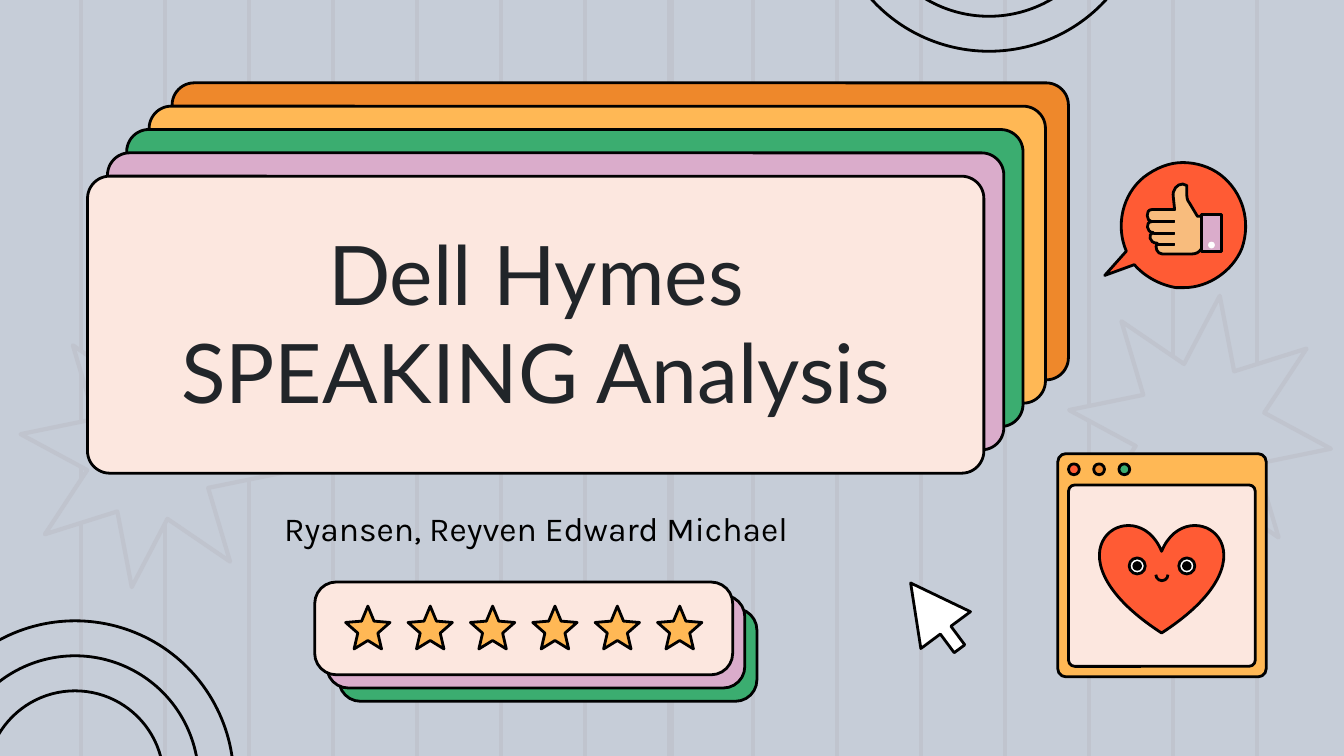
from dataclasses import dataclass
from typing import Optional

from lxml.etree import SubElement
from pptx import Presentation
from pptx.dml.color import RGBColor
from pptx.enum.shapes import MSO_CONNECTOR as Connector, MSO_SHAPE as Preset
from pptx.enum.text import MSO_ANCHOR as Anchor, MSO_AUTO_SIZE as AutoSize, PP_ALIGN as Align
from pptx.oxml.ns import qn
from pptx.util import Pt


@dataclass(frozen=True)
class Theme:
    sky: str = "C6CDD8"
    stripe: str = "C0C4CE"
    ink: str = "000000"
    title_ink: str = "212529"
    orange: str = "EE882B"
    yellow: str = "FFB855"
    green: str = "3BAD70"
    mauve: str = "DAACCB"
    cream: str = "FCE7DF"
    red: str = "FF5B34"
    skin: str = "F8BC7D"
    crease: str = "512944"
    white: str = "FFFFFF"
    title_size: float = 44
    author_size: float = 18
    outline: float = 1.5
    thin: float = 0.75
    stripe_width: float = 2.25


THEME = Theme()


@dataclass(frozen=True)
class Box:
    left: float
    top: float
    width: float
    height: float

    def lengths(self) -> tuple:
        return Pt(self.left), Pt(self.top), Pt(self.width), Pt(self.height)


@dataclass(frozen=True)
class Style:
    fill: Optional[str] = None
    line: Optional[str] = THEME.ink
    weight: float = THEME.outline


SLIDE_WIDTH, SLIDE_HEIGHT = 720, 405
STRIPE_STEP = 44.98
CARD_LEFTS = (92.2, 79.9, 67.9, 57.6, 46.9)
CARD_FILLS = (THEME.orange, THEME.yellow, THEME.green, THEME.mauve, THEME.cream)
RING_STEP = 18.75

# Each step is one point (straight) or three points (cubic curve).
BUBBLE_START = (634.3, 154.1)
BUBBLE_STEPS = (
    ((632.9, 154.1), (631.4, 154.1), (630, 154.1)),
    ((621.4, 152.6), (613.4, 148.3), (607.7, 141.8)),
    ((591.8, 147.6),),
    ((603.4, 134.6),),
    ((597.6, 121), (601.2, 104.4), (612.7, 95)),
    ((619.2, 90), (626.4, 87.1), (633.6, 87.1)),
    ((640.8, 87.1), (648, 89.3), (653.8, 93.6)),
    ((666, 103), (670.3, 118.8), (665.3, 133.2)),
    ((660.2, 145.4), (647.3, 154.1), (634.3, 154.1)),
)
HAND_START = (633.6, 98.6)
HAND_STEPS = (
    ((630.7, 98.6), (627.8, 101.5), (628.6, 105.8)),
    ((629.3, 112.3),),
    ((617, 112.3),),
    ((613.4, 112.3), (614.2, 118.8), (617, 118.8)),
    ((613.4, 118.8), (614.2, 124.6), (617.8, 124.6)),
    ((614.9, 125.3), (615.6, 130.3), (619.9, 130.3)),
    ((618.5, 132.5), (619.9, 136.1), (622.8, 136.1)),
    ((637.9, 136.1),),
    ((640.8, 136.1), (642.2, 135.4), (643.7, 133.2)),
    ((643.7, 115.9),),
    ((641.5, 115.9),),
    ((637.2, 108.7),),
    ((635.8, 107.3), (635.8, 105.1), (635.8, 103.7)),
    ((635.8, 99.4),),
    ((635, 99.4), (634.3, 98.6), (633.6, 98.6)),
)


def apply_style(shape, style: Style) -> None:
    shape.shadow.inherit = False
    if style.fill:
        shape.fill.solid()
        shape.fill.fore_color.rgb = RGBColor.from_string(style.fill)
    else:
        shape.fill.background()
    if style.line:
        shape.line.color.rgb = RGBColor.from_string(style.line)
        shape.line.width = Pt(style.weight)
    else:
        shape.line.fill.background()


def draw(slide, preset, box: Box, style: Style, adjust: tuple = (), rotation: float = 0) -> None:
    shape = slide.shapes.add_shape(preset, *box.lengths())
    for index, value in enumerate(adjust):
        shape.adjustments[index] = value
    shape.rotation = rotation
    apply_style(shape, style)


def draw_curved(slide, start: tuple, steps: tuple, style: Style) -> None:
    """Draw a closed outline, merging the three points of a curve into one Bézier."""
    builder = slide.shapes.build_freeform(Pt(start[0]), Pt(start[1]), scale=1.0)
    builder.add_line_segments([(Pt(x), Pt(y)) for step in steps for x, y in step], close=True)
    shape = builder.convert_to_shape()
    segments = iter(list(shape._element.iter(qn("a:lnTo"))))
    for step in steps:
        first, *others = [next(segments) for _ in step]
        if others:
            first.tag = qn("a:cubicBezTo")
        for other in others:
            first.append(other[0])
            other.getparent().remove(other)
    apply_style(shape, style)


def draw_stripe(slide, x: float) -> None:
    stripe = slide.shapes.add_connector(
        Connector.STRAIGHT, Pt(x), Pt(0), Pt(x), Pt(SLIDE_HEIGHT))
    stripe.line.color.rgb = RGBColor.from_string(THEME.stripe)
    stripe.line.width = Pt(THEME.stripe_width)
    SubElement(stripe._element.spPr, qn("a:effectLst"))


def draw_rings(slide, x: float, y: float, count: int) -> None:
    for ring in range(count):
        radius = 85 - RING_STEP * ring
        draw(slide, Preset.OVAL, Box(x - radius, y - radius, 2 * radius, 2 * radius), Style())


def draw_backdrop(slide) -> None:
    slide.background.fill.solid()
    slide.background.fill.fore_color.rgb = RGBColor.from_string(THEME.sky)
    for column in range(15):
        draw_stripe(slide, 43.6 + STRIPE_STEP * column)
    draw_stripe(slide, SLIDE_WIDTH / 2)
    for left, top in ((572, 157.7), (10.3, 170.6)):
        draw(slide, Preset.STAR_8_POINT, Box(left, top, 141.8, 144.7),
             Style(THEME.sky, THEME.stripe, THEME.stripe_width), (0.25,), 8.4)
    draw_rings(slide, 529.8, -57.5, 2)
    draw_rings(slide, 40.2, 417.6, 3)


def draw_title_cards(slide) -> None:
    for index, (left, fill) in enumerate(zip(CARD_LEFTS, CARD_FILLS)):
        draw(slide, Preset.ROUNDED_RECTANGLE, Box(left, 44.4 + 12.5 * index, 480.2, 159.1),
             Style(fill), (0.075,))


def fill_placeholder(holder, wording: str, box: Box, size: float, font: str, color: str,
                     top_inset: float, space_after: float) -> None:
    holder.left, holder.top, holder.width, holder.height = box.lengths()
    frame = holder.text_frame
    frame.text = wording
    frame.word_wrap = True
    frame.auto_size = AutoSize.NONE
    frame.vertical_anchor = Anchor.TOP
    frame.margin_left = frame.margin_right = frame.margin_bottom = Pt(7.2)
    frame.margin_top = Pt(top_inset)
    paragraph = frame.paragraphs[0]
    paragraph.alignment = Align.CENTER
    paragraph.line_spacing = 1.0
    paragraph.space_before, paragraph.space_after = Pt(0), Pt(space_after)
    run_font = paragraph.runs[0].font
    run_font.size, run_font.name = Pt(size), font
    run_font.color.rgb = RGBColor.from_string(color)
    holder._element.getparent().append(holder._element)  # bring to front


def draw_heart_window(slide) -> None:
    draw(slide, Preset.ROUNDED_RECTANGLE, Box(566.7, 243.1, 111.6, 119.5),
         Style(THEME.yellow), (0.038,))
    draw(slide, Preset.ROUNDED_RECTANGLE, Box(572.4, 259.8, 100.1, 97.2),
         Style(THEME.cream), (0.035,))
    for index, fill in enumerate((THEME.red, THEME.orange, THEME.green)):
        draw(slide, Preset.OVAL, Box(572.4 + 13.5 * index, 248.5, 5.8, 5.8), Style(fill))
    draw(slide, Preset.HEART, Box(589.2, 280.8, 66.2, 58.3), Style(THEME.red))
    for left in (604.9, 631.5):
        draw(slide, Preset.OVAL, Box(left, 298.9, 8.6, 8.6), Style(THEME.white))
        draw(slide, Preset.OVAL, Box(left + 2.5, 301.4, 3.6, 3.6), Style(THEME.ink))
    draw(slide, Preset.ARC, Box(619.2, 304.6, 6.5, 6.5), Style(), (162, 53.45), 90)


def draw_rating(slide) -> None:
    for index, fill in enumerate((THEME.green, THEME.mauve, THEME.cream)):
        draw(slide, Preset.ROUNDED_RECTANGLE,
             Box(181.6 - 6.5 * index, 326 - 7.1 * index, 223.9, 49.7), Style(fill), (0.232,))
    for index in range(6):
        draw(slide, Preset.STAR_5_POINT, Box(185.2 + 33.41 * index, 324.7, 23.8, 23),
             Style(THEME.yellow), (0.226,))


def draw_thumb_bubble(slide) -> None:
    draw_curved(slide, BUBBLE_START, BUBBLE_STEPS, Style(THEME.red))
    draw_curved(slide, HAND_START, HAND_STEPS, Style(THEME.skin))
    draw(slide, Preset.RECTANGLE, Box(643.7, 115.1, 10.8, 19.7), Style(THEME.mauve))
    for left, top in ((617, 118.2), (617.8, 124.6), (619.9, 130.5)):
        draw(slide, Preset.RECTANGLE, Box(left, top, 629.3 - left, 0.8),
             Style(THEME.crease, THEME.ink, THEME.thin))
    draw(slide, Preset.OVAL, Box(647.2, 129.5, 3.6, 3.6), Style(THEME.white, None))


def main() -> None:
    deck = Presentation()
    deck.slide_width, deck.slide_height = Pt(SLIDE_WIDTH), Pt(SLIDE_HEIGHT)
    slide = deck.slides.add_slide(deck.slide_layouts[0])
    draw_backdrop(slide)
    draw_title_cards(slide)
    fill_placeholder(slide.shapes.title, "Dell Hymes SPEAKING Analysis",
                     Box(59.7, 119.5, 455, 125.3), THEME.title_size, "Lato",
                     THEME.title_ink, 0, 2)
    fill_placeholder(slide.placeholders[1], "Ryansen, Reyven Edward Michael",
                     Box(55.4, 264.9, 463.7, 36.7), THEME.author_size, "Karla",
                     THEME.ink, 7.2, 0)
    draw_heart_window(slide)
    draw_rating(slide)
    draw(slide, Preset.RIGHT_ARROW, Box(479, 313.4, 43.9, 33.1),
         Style(THEME.white), (0.213, 0.95), 233.4)
    draw_thumb_bubble(slide)
    deck.save("out.pptx")


if __name__ == "__main__":
    main()
